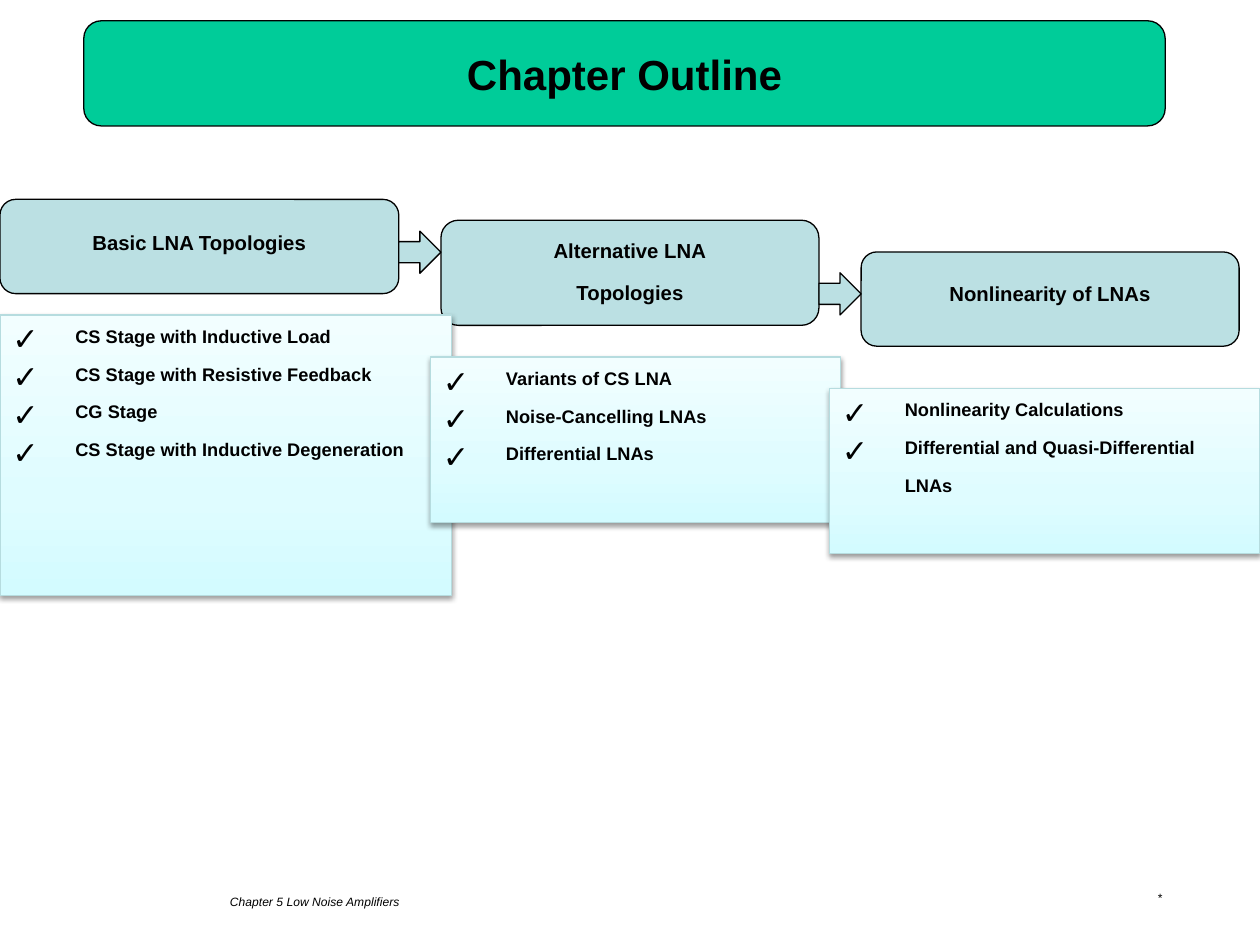
from lxml.etree import SubElement
from pptx import Presentation
from pptx.dml.color import RGBColor
from pptx.enum.shapes import MSO_SHAPE
from pptx.enum.text import MSO_ANCHOR, PP_ALIGN
from pptx.oxml.ns import qn
from pptx.util import Cm, Pt


def colour(hex_code):
    return RGBColor.from_string(hex_code)


def add_element(parent, tag, **attributes):
    return SubElement(parent, qn(tag), {key: str(value) for key, value in attributes.items()})


class OutlineSlide:
    font_name = "Arial"
    ink = "000000"
    heading_fill = "BBE0E3"
    list_line = "B6DCDF"
    list_gradient = [(0, "D3FBFF"), (35, "DFFCFF"), (100, "F2FEFF")]

    def __init__(self, presentation):
        self.slide = presentation.slides.add_slide(presentation.slide_layouts[6])

    def shape(self, kind, left, top, width, height, fill=None, line=ink):
        shape = self.slide.shapes.add_shape(kind, Cm(left), Cm(top), Cm(width), Cm(height))
        shape.shadow.inherit = False
        if fill:
            shape.fill.solid()
            shape.fill.fore_color.rgb = colour(fill)
        shape.line.color.rgb = colour(line)
        shape.line.width = Pt(0.75)
        return shape

    def add_lines(self, frame, lines, size, bold=False, italic=False, raised=True,
                  align=PP_ALIGN.CENTER, bullet=None):
        for index, line in enumerate(lines):
            paragraph = frame.paragraphs[0] if index == 0 else frame.add_paragraph()
            paragraph.alignment = align
            if bullet:
                self.bullet(paragraph, bullet)
            run = paragraph.add_run()
            run.text = line
            if raised:
                run.font._element.set("baseline", "30000")
            font = paragraph.font
            font.name, font.size = self.font_name, Pt(size)
            font.bold, font.italic = bold, italic
            font.color.rgb = colour(self.ink)

    def bullet(self, paragraph, character):
        properties = paragraph._p.get_or_add_pPr()
        properties.set("marL", str(Cm(1.27)))
        properties.set("indent", str(-Cm(1.27)))
        add_element(add_element(properties, "a:buClr"), "a:srgbClr", val=self.ink)
        add_element(properties, "a:buFont", typeface=self.font_name)
        add_element(properties, "a:buChar", char=character)

    def text(self, left, top, width, height, lines, size, wrap=True, **style):
        box = self.slide.shapes.add_textbox(Cm(left), Cm(top), Cm(width), Cm(height))
        box.text_frame.word_wrap = wrap
        self.add_lines(box.text_frame, lines, size, **style)

    def title(self, left, top, width, height, text):
        shape = self.shape(MSO_SHAPE.ROUNDED_RECTANGLE, left, top, width, height, "00CC99")
        shape.text_frame.vertical_anchor = MSO_ANCHOR.MIDDLE
        self.add_lines(shape.text_frame, [text], 24, bold=True, raised=False)

    def heading(self, left, top, width, height, text_top, lines):
        self.shape(MSO_SHAPE.ROUNDED_RECTANGLE, left, top, width, height, self.heading_fill)
        self.text(left, text_top, width, len(lines), lines, 20, wrap=False, bold=True)

    def arrow(self, left, top):
        self.shape(MSO_SHAPE.RIGHT_ARROW, left, top, 0.85, 0.85, self.heading_fill)

    def checklist(self, left, top, width, height, items):
        shape = self.shape(MSO_SHAPE.RECTANGLE, left, top, width, height, line=self.list_line)
        # Three-stop gradient, darkest at the bottom
        shape.fill.gradient()
        shape.fill.gradient_angle = 90
        properties = shape._element.spPr
        stops = properties.find(".//" + qn("a:gsLst"))
        stops.clear()
        for position, hex_code in self.list_gradient:
            stop = add_element(stops, "a:gs", pos=position * 1000)
            add_element(stop, "a:srgbClr", val=hex_code)
        # Soft shadow below
        shadow = add_element(properties.find(qn("a:effectLst")), "a:outerShdw",
                             blurRad=Pt(3.1), dist=Pt(1.6), dir=5400000, rotWithShape=0)
        add_element(add_element(shadow, "a:srgbClr", val=self.ink), "a:alpha", val=38000)
        shape.text_frame.word_wrap = True
        shape.text_frame.vertical_anchor = MSO_ANCHOR.TOP
        self.add_lines(shape.text_frame, items, 18, bold=True, align=PP_ALIGN.LEFT, bullet="✓")


def main():
    presentation = Presentation()
    presentation.slide_width, presentation.slide_height = Cm(25.4), Cm(19.05)
    outline = OutlineSlide(presentation)

    # Title and footer
    outline.title(1.69, 0.42, 21.8, 2.12, "Chapter Outline")
    outline.text(0.21, 17.86, 12.28, 0.76, ["Chapter 5 Low Noise Amplifiers"], 12, italic=True)
    outline.text(21.38, 17.78, 4.02, 0.76, ["*"], 12)

    # Topic headings, joined by arrows
    outline.heading(0, 4.02, 8.04, 1.9, 4.44, ["Basic LNA Topologies"])
    outline.heading(8.89, 4.44, 7.62, 2.12, 4.6, ["Alternative LNA", "Topologies"])
    outline.heading(17.36, 5.08, 7.62, 1.9, 5.46, ["Nonlinearity of LNAs"])
    outline.arrow(8.04, 4.66)
    outline.arrow(16.51, 5.5)

    # Contents of each topic
    outline.checklist(0, 6.35, 9.1, 5.65, [
        "CS Stage with Inductive Load",
        "CS Stage with Resistive Feedback",
        "CG Stage",
        "CS Stage with Inductive Degeneration",
    ])
    outline.checklist(8.68, 7.2, 8.26, 3.33, [
        "Variants of CS LNA",
        "Noise-Cancelling LNAs",
        "Differential LNAs",
    ])
    outline.checklist(16.72, 7.83, 8.68, 3.33, [
        "Nonlinearity Calculations",
        "Differential and Quasi-Differential LNAs",
    ])

    presentation.save("out.pptx")


if __name__ == "__main__":
    main()
